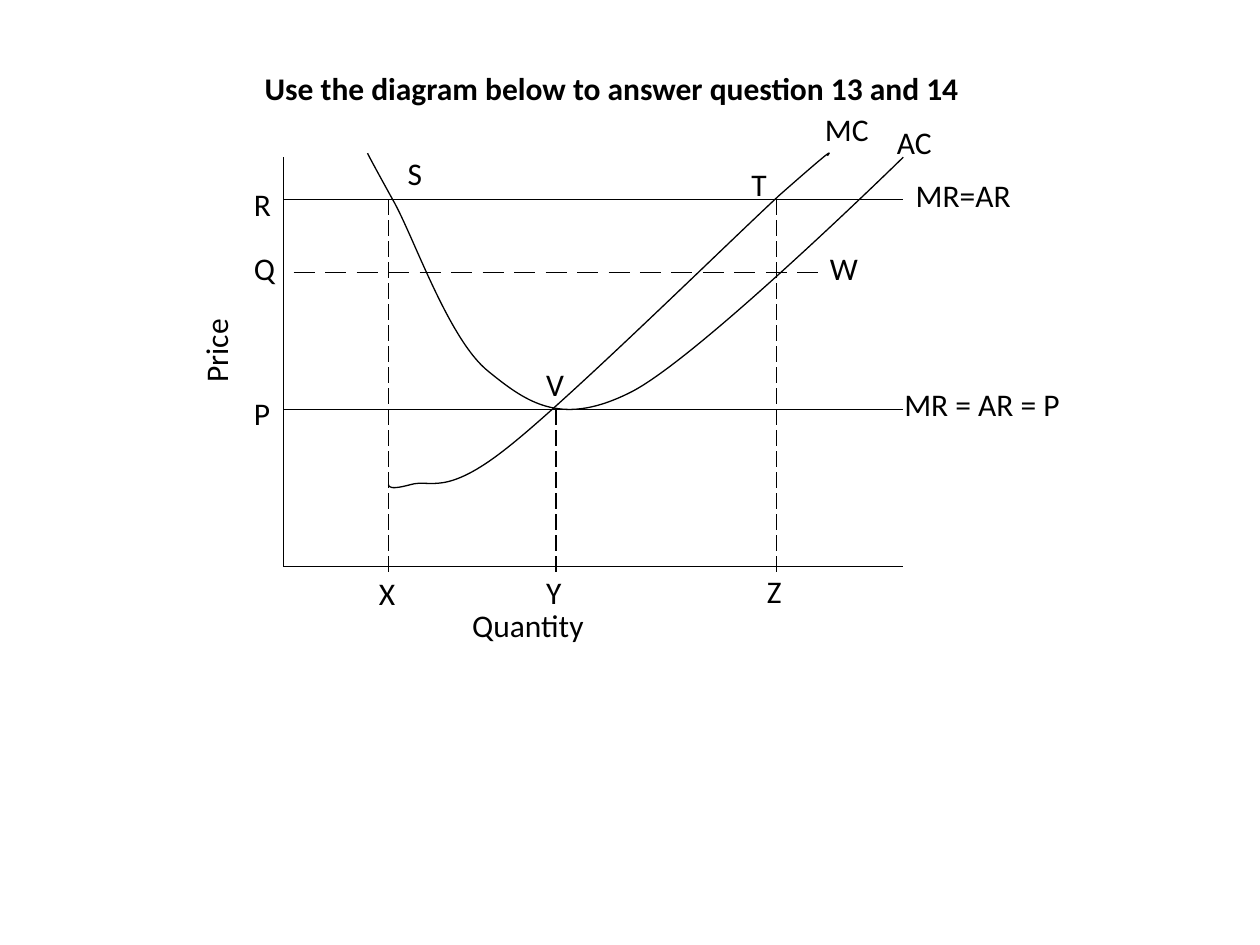
from dataclasses import dataclass

from lxml import etree
from pptx import Presentation
from pptx import util as u
from pptx.dml import color
from pptx.enum import shapes, text
from pptx.oxml import ns


@dataclass(frozen=True)
class Theme:
    """Colours, type and line sizes of the slide."""
    ink: color.RGBColor = color.RGBColor(0, 0, 0)
    face: str = "Calibri"
    size: u.Pt = u.Pt(18)
    rule: u.Pt = u.Pt(0.75)
    row: float = 1.02


THEME = Theme()
TITLE = (5.08, 1.27, 14.63, THEME.row)
PLOT = (5.71, 3.17, 12.5, 8.25)
LEVELS = {"R": 0.85, "Q": 2.33, "P": 5.08}
OUTPUTS = {"X": 2.12, "Y": 5.5, "Z": 9.95}
COST = {
    "AC": ((1.7, -0.08), (12.5, 5.08),
           [(1.7, -0.08), (1.75, 0.03), (2.21, 0.86), (2.21, 0.86),
            (2.62, 1.57), (3.33, 3.68), (4.14, 4.32),
            (4.95, 4.98), (5.64, 5.44), (7.04, 4.72),
            (8.43, 3.99), (12.5, 0), (12.5, 0)]),
    "MC": ((2.12, -0.08), (11.01, 6.68),
           [(2.12, 6.6), (2.13, 6.65), (2.16, 6.71), (2.57, 6.6),
            (2.97, 6.48), (3.25, 6.86), (4.5, 5.87),
            (5.74, 4.9), (8.94, 1.75), (10.01, 0.76),
            (11.1, -0.2), (11.05, -0.13), (10.97, -0.03)]),
}
LABELS = [
    ("R", -0.84, 0.43, 0.86), ("Q", -0.84, 1.73, 0.94), ("P", -0.84, 4.65, 0.84),
    ("X", 1.68, 8.28, 0.84), ("Y", 5.05, 8.25, 0.81), ("Z", 9.5, 8.23, 0.81),
    ("V", 5.05, 4.06, 0.89), ("S", 2.26, -0.18, 0.81), ("T", 9.19, 0.03, 0.81),
    ("MC", 10.67, -1.07, 1.4), ("AC", 12.12, -0.81, 1.22),
    ("MR=AR", 12.5, 0.25, 2.44), ("W", 10.77, 1.73, 1.09),
    ("MR = AR = P", 12.27, 4.47, 3.68), ("Quantity", 3.56, 8.92, 2.79),
    ("Price", -2.26, 3.38, 1.8),
]


def apply(item, values):
    """Set each named value on an item."""
    for name, value in values.items():
        setattr(item, name, value)


def write(shape, words, bold=False):
    """Fill a shape with one unwrapped line of text."""
    frame = shape.text_frame
    frame.text = words
    apply(frame, {"word_wrap": False, "vertical_anchor": text.MSO_ANCHOR.TOP,
                  "auto_size": text.MSO_AUTO_SIZE.SHAPE_TO_FIT_TEXT})
    line = frame.paragraphs[0]
    line.alignment = text.PP_ALIGN.LEFT
    font = line.runs[0].font
    apply(font, {"name": THEME.face, "size": THEME.size, "bold": bold})
    font.color.rgb = THEME.ink


def ink(shape):
    """Give a shape the thin black outline."""
    shape.line.color.rgb = THEME.ink
    shape.line.width = THEME.rule


def rule(slide, box, start, end):
    """Draw a straight line between two points of the box."""
    ends = [u.Cm(box[i] + spot[i]) for spot in (start, end) for i in (0, 1)]
    line = slide.shapes.add_connector(shapes.MSO_CONNECTOR.STRAIGHT, *ends)
    ink(line)
    etree.SubElement(line._element.spPr, ns.qn("a:effectLst"))


def dashes(slide, box, start, end, count, share):
    """Draw evenly spaced dashes from start towards end."""
    def spot(part):
        return [a + (b - a) * part / count for a, b in zip(start, end)]
    for i in range(count):
        rule(slide, box, spot(i), spot(i + share))


def curve(slide, box, first, last, points):
    """Draw one open cubic curve framed by two corners in the box."""
    def place(spot):
        return u.Cm(box[0] + spot[0]), u.Cm(box[1] + spot[1])
    build = slide.shapes.build_freeform(*place(first))
    build.add_line_segments([place(last)], close=False)
    shape = build.convert_to_shape()
    shape.shadow.inherit = False
    shape.fill.background()
    ink(shape)
    trace = next(shape._element.iter(ns.qn("a:path")))
    for part in list(trace):
        trace.remove(part)
    groups = [points[i:i + 3] for i in range(1, len(points), 3)]
    for tag, spots in [("a:moveTo", points[:1])] + [("a:cubicBezTo", g) for g in groups]:
        step = etree.SubElement(trace, ns.qn(tag))
        for spot in spots:
            x, y = (str(int(u.Cm(a - b))) for a, b in zip(spot, first))
            etree.SubElement(step, ns.qn("a:pt"), x=x, y=y)


def label(slide, box, words, left, top, width):
    """Place one label relative to the box."""
    area = (box[0] + left, box[1] + top, width, THEME.row)
    shape = slide.shapes.add_textbox(*map(u.Cm, area))
    write(shape, words)
    return shape


def heading(slide, box, words):
    """Move and format the title."""
    title = slide.shapes.title
    apply(title, dict(zip(("left", "top", "width", "height"), map(u.Cm, box))))
    write(title, words, bold=True)


def diagram(slide, box):
    """Draw the axes, price levels, cost curves and labels."""
    wide, high = box[2:]
    rule(slide, box, (0, 0), (0, high))
    for level in (high, LEVELS["R"], LEVELS["P"]):
        rule(slide, box, (0, level), (wide, level))
    for parts in COST.values():
        curve(slide, box, *parts)
    for name, level, count in (("X", "R", 18), ("Z", "R", 18), ("Y", "P", 8)):
        left = OUTPUTS[name]
        dashes(slide, box, (left, LEVELS[level]), (left, high + 0.22), count, 0.75)
    dashes(slide, box, (0.21, LEVELS["Q"]), (11, LEVELS["Q"]), 17, 2 / 3)
    for entry in LABELS:
        shape = label(slide, box, *entry)
        if entry[0] == "Price":
            shape.rotation = 270


def main():
    """Build and save the slide."""
    deck = Presentation()
    apply(deck, {"slide_width": u.Cm(25.4), "slide_height": u.Cm(19.05)})
    slide = deck.slides.add_slide(deck.slide_layouts.get_by_name("Title Only"))
    heading(slide, TITLE, "Use the diagram below to answer question 13 and 14")
    diagram(slide, PLOT)
    deck.save("out.pptx")


main()
